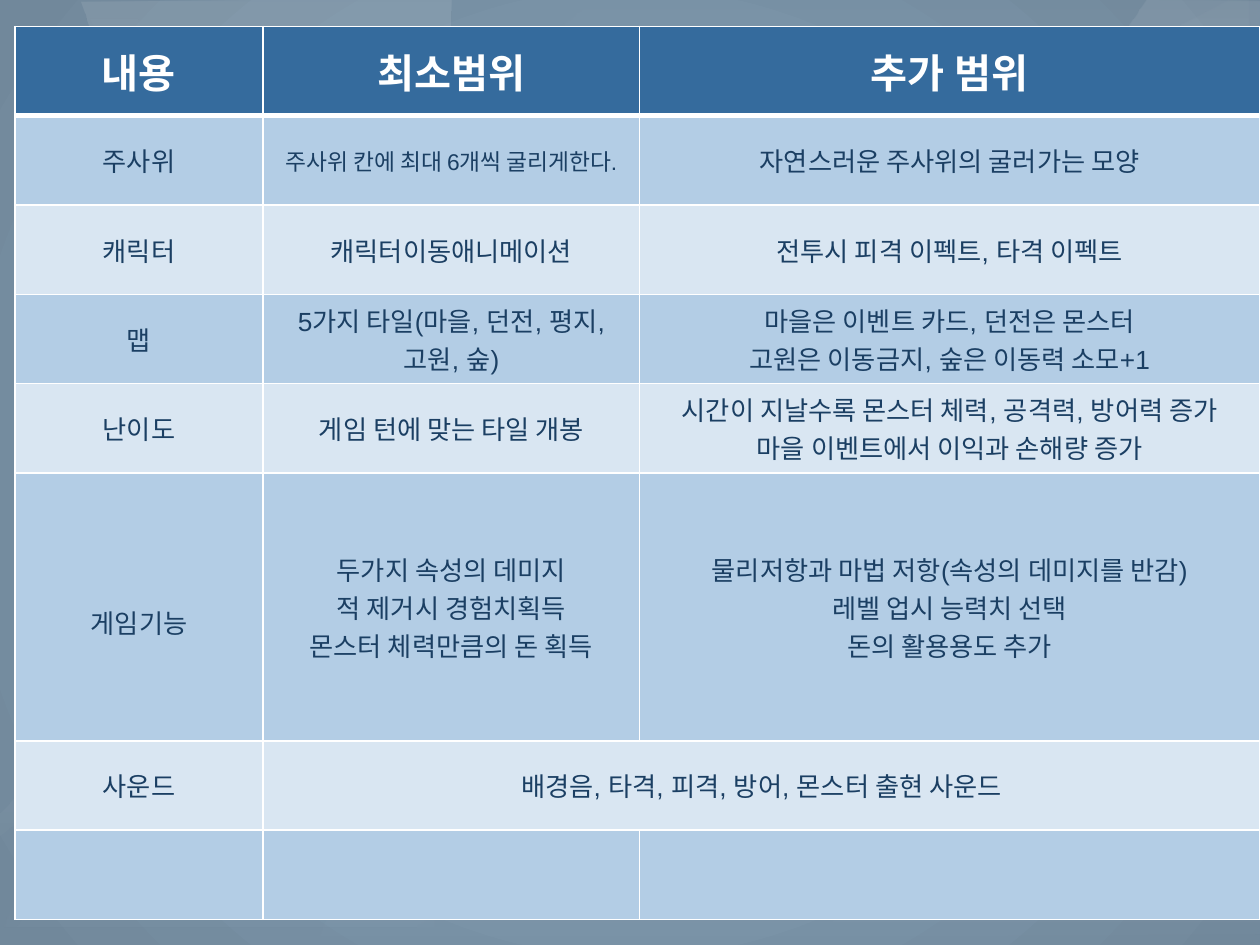
"""Build a slide with a game scope table over a softly lit blue-grey background."""
from lxml.etree import SubElement
from pptx import Presentation
from pptx.dml.color import RGBColor
from pptx.enum.text import MSO_ANCHOR, PP_ALIGN
from pptx.oxml import parse_xml
from pptx.oxml.ns import nsdecls, qn
from pptx.util import Pt

WHITE = RGBColor(0xFF, 0xFF, 0xFF)
NAVY = RGBColor(0x1B, 0x3F, 0x63)
HEADER = RGBColor(0x35, 0x6B, 0x9D)
DARK_BAND = RGBColor(0xB3, 0xCD, 0xE5)
LIGHT_BAND = RGBColor(0xD9, 0xE6, 0xF2)
GLOW = RGBColor(0x84, 0x9F, 0xB5)
EDGE = RGBColor(0x71, 0x88, 0x9B)

DOWNWARD = '<a:lin ang="5400000" scaled="0"/>'
RADIAL = ('<a:path path="circle"><a:fillToRect l="50000" t="50000" '
          'r="50000" b="50000"/></a:path>')


def set_gradient(element, stops, direction):
    """Replace the gradient inside element; stops hold position, colour and opacity in percent."""
    marks = "".join(
        f'<a:gs pos="{position * 1000}"><a:srgbClr val="{color}">'
        f'<a:alpha val="{opacity * 1000}"/></a:srgbClr></a:gs>'
        for position, color, opacity in stops)
    old = element.find(".//" + qn("a:gradFill"))
    old.getparent().replace(old, parse_xml(
        f'<a:gradFill {nsdecls("a")} rotWithShape="1"><a:gsLst>{marks}</a:gsLst>'
        f'{direction}</a:gradFill>'))


def set_border(cell, side, width):
    """Draw one white border of a cell."""
    line = SubElement(cell._tc.get_or_add_tcPr(), qn("a:ln" + side), w=str(Pt(width)))
    fill = SubElement(line, qn("a:solidFill"))
    SubElement(fill, qn("a:srgbClr"), val=str(WHITE))


presentation = Presentation()
presentation.slide_width, presentation.slide_height = Pt(720), Pt(540)
slide = presentation.slides.add_slide(presentation.slide_layouts[6])
slide.background.fill.gradient()
set_gradient(slide.element, [(0, GLOW, 100), (100, EDGE, 100)], RADIAL)

SHEENS = [
    ([(0, 0), (50, 8), (100, 0)],
     [(0, 536), (16, 496), (40, 436), (66, 380), (98, 316), (134, 249), (168, 193),
      (205, 139), (244, 90), (286, 44), (339, 0), (720, -2), (718, 188), (648, 243),
      (557, 313), (461, 386), (376, 443), (312, 486), (227, 537)]),
    ([(0, 8), (50, 15), (100, 0)],
     [(-29, 499), (4, 474), (47, 438), (84, 400), (117, 362), (149, 318), (181, 269),
      (208, 219), (231, 163), (246, 99), (256, 43), (258, -1), (46, 1), (62, 45),
      (78, 100), (90, 161), (95, 219), (93, 279), (83, 339), (62, 387), (33, 431),
      (-3, 467), (-27, 484)]),
    ([(0, 1), (50, 14), (100, 0)],
     [(714, -6), (674, 15), (609, 52), (551, 90), (485, 146), (428, 194), (371, 247),
      (317, 306), (276, 356), (241, 410), (211, 467), (192, 512), (181, 539), (722, 534)]),
    ([(0, 0), (50, 5), (100, 0)],
     [(73, 0), (101, 58), (129, 122), (161, 200), (193, 287), (221, 375), (239, 450),
      (247, 508), (248, 534), (0, 540), (17, 520), (42, 484), (66, 432), (85, 373),
      (101, 313), (107, 245), (104, 187), (94, 127), (74, 55), (50, 9)]),
    ([(10, 7), (100, 0)],
     [(475, 537), (478, 505), (487, 439), (506, 346), (536, 239), (570, 149),
      (614, 61), (655, 0), (721, 1), (724, 540)]),
    ([(0, 6), (100, 0)],
     [(716, 362), (624, 402), (532, 431), (400, 469), (312, 499), (276, 530), (236, 540),
      (271, 489), (338, 401), (410, 320), (488, 245), (579, 171), (653, 122), (720, 85)]),
]
for stops, outline in SHEENS:
    corners = [(Pt(x), Pt(y)) for x, y in outline]
    builder = slide.shapes.build_freeform(*corners[0])
    builder.add_line_segments(corners[1:], close=True)
    sheen = builder.convert_to_shape()
    sheen.shadow.inherit = False
    sheen.line.fill.background()
    sheen.fill.gradient()
    set_gradient(sheen.element, [(at, WHITE, opacity) for at, opacity in stops], DOWNWARD)

ROWS = [
    ["내용", "최소범위", "추가 범위"],
    ["주사위", "주사위 칸에 최대 6개씩 굴리게한다.", "자연스러운 주사위의 굴러가는 모양"],
    ["캐릭터", "캐릭터이동애니메이션", "전투시 피격 이펙트, 타격 이펙트"],
    ["맵", "5가지 타일(마을, 던전, 평지, 고원, 숲)",
     "마을은 이벤트 카드, 던전은 몬스터\n고원은 이동금지, 숲은 이동력 소모+1"],
    ["난이도", "게임 턴에 맞는 타일 개봉",
     "시간이 지날수록 몬스터 체력, 공격력, 방어력 증가\n마을 이벤트에서 이익과 손해량 증가"],
    ["게임기능", "두가지 속성의 데미지\n적 제거시 경험치획득\n몬스터 체력만큼의 돈 획득",
     "물리저항과 마법 저항(속성의 데미지를 반감)\n레벨 업시 능력치 선택\n돈의 활용용도 추가"],
    ["사운드", "배경음, 타격, 피격, 방어, 몬스터 출현 사운드", ""],
    ["", "", ""],
]
SOUND_ROW, FEATURE_ROW = 6, 5
ROW_HEIGHT = 51.05
COLUMN_WIDTHS = [141.75, 215.25, 354.35]

table = slide.shapes.add_table(
    len(ROWS), len(COLUMN_WIDTHS), Pt(8.6), Pt(15.1),
    Pt(sum(COLUMN_WIDTHS)), Pt(ROW_HEIGHT * 10)).table
table.horz_banding = False
for column, width in zip(table.columns, COLUMN_WIDTHS):
    column.width = Pt(width)

for row_index, texts in enumerate(ROWS):
    is_header = row_index == 0
    table.rows[row_index].height = Pt(ROW_HEIGHT * (3 if row_index == FEATURE_ROW else 1))
    for column_index, text in enumerate(texts):
        cell = table.cell(row_index, column_index)
        cell.vertical_anchor = MSO_ANCHOR.MIDDLE
        for side in "LRTB":
            under_header = (row_index, side) in [(0, "B"), (1, "T")]
            set_border(cell, side, 3 if under_header else 1)
        cell.fill.solid()
        cell.fill.fore_color.rgb = (
            HEADER if is_header else DARK_BAND if row_index % 2 else LIGHT_BAND)
        if not text:
            continue
        size = 23 if is_header else 13 if (row_index, column_index) == (1, 1) else 15
        for line_index, line in enumerate(text.split("\n")):
            frame = cell.text_frame
            paragraph = frame.add_paragraph() if line_index else frame.paragraphs[0]
            paragraph.alignment = PP_ALIGN.CENTER
            run = paragraph.add_run()
            run.text = line
            run.font.name = "Arial"
            run.font.size = Pt(size)
            run.font.bold = is_header
            run.font.color.rgb = WHITE if is_header else NAVY

table.cell(FEATURE_ROW, 0).margin_top = Pt(21)
table.cell(SOUND_ROW, 1).merge(table.cell(SOUND_ROW, 2))
presentation.save("out.pptx")
